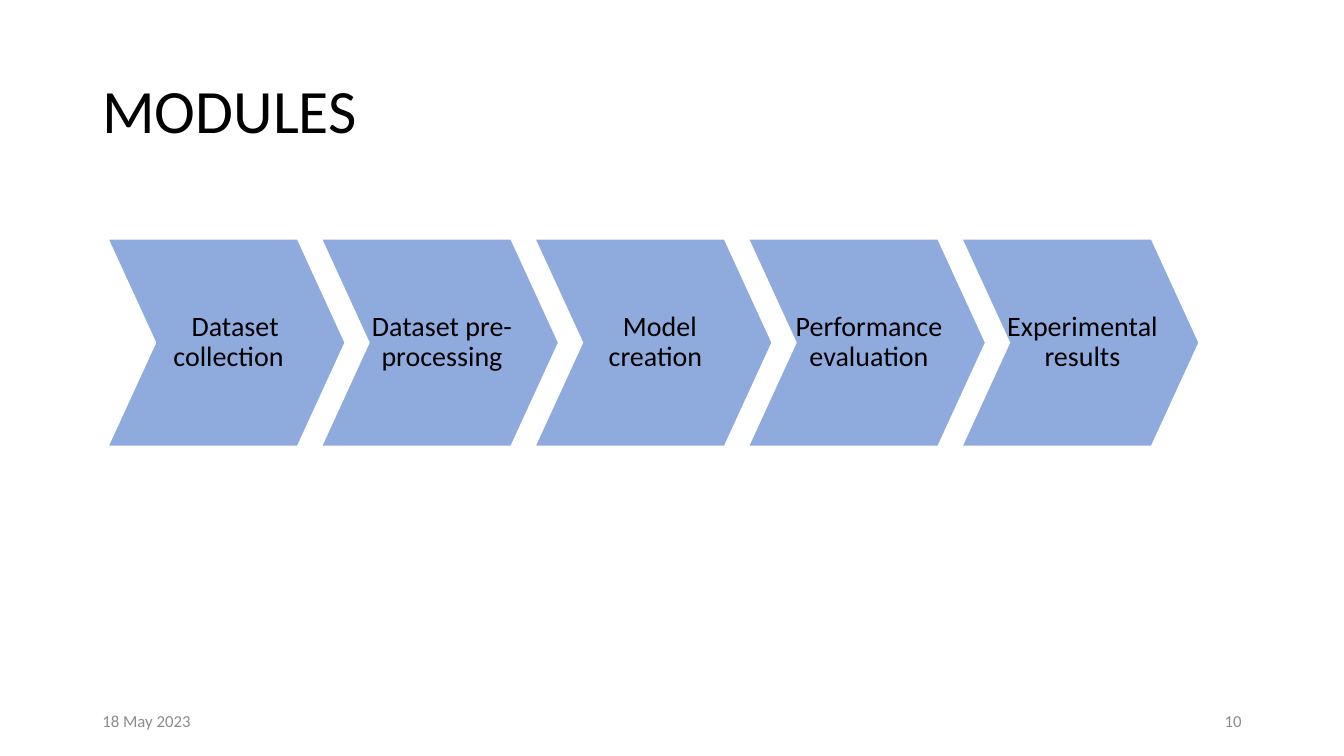
from dataclasses import dataclass

from pptx import Presentation
from pptx.dml.color import RGBColor as Color
from pptx.enum.text import MSO_ANCHOR as Anchor, PP_ALIGN as Align
from pptx.util import Cm, Pt


@dataclass(frozen=True)
class Theme:
    font: str = "Calibri"
    ink: str = "000000"
    muted: str = "8C8C8C"
    arrow: str = "8FAADC"
    edge: str = "FFFFFF"
    title_size: int = 44
    step_size: int = 20
    footer_size: int = 12
    tight: float = 0.9


class ModulesPage:
    """Draws the elements of one slide in a shared style."""

    def __init__(self, deck, theme):
        self.theme = theme
        self.page = deck.slides.add_slide(deck.slide_layouts[6])

    def set_text(self, frame, text, size, color, align=Align.LEFT, spacing=1.0):
        frame.word_wrap = True
        frame.vertical_anchor = Anchor.MIDDLE
        para = frame.paragraphs[0]
        para.alignment = align
        para.line_spacing = spacing
        span = para.add_run()
        span.text = text
        span.font.name = self.theme.font
        span.font.size = Pt(size)
        span.font.color.rgb = Color.from_string(color)
        return para

    def label(self, left, top, width, height, text, size, color, **style):
        box = self.page.shapes.add_textbox(Cm(left), Cm(top), Cm(width), Cm(height))
        self.set_text(box.text_frame, text, size, color, **style)

    def chevron(self, group, left, text, indent):
        top, width, height, notch = 6.02, 5.98, 5.23, 1.2
        right, bottom, middle = left + width, top + height, top + height / 2
        outline = [(right - notch, top), (right, middle), (right - notch, bottom),
                   (left, bottom), (left + notch, middle)]
        builder = group.shapes.build_freeform(Cm(left), Cm(top))
        builder.add_line_segments([(Cm(x), Cm(y)) for x, y in outline], close=True)
        shape = builder.convert_to_shape()
        shape.shadow.inherit = False
        shape.fill.solid()
        shape.fill.fore_color.rgb = Color.from_string(self.theme.arrow)
        shape.line.color.rgb = Color.from_string(self.theme.edge)
        shape.line.width = Pt(1)
        frame = shape.text_frame
        frame.margin_left, frame.margin_right = Cm(1.14), Cm(1.04)
        frame.margin_top = frame.margin_bottom = Cm(0.05)
        para = self.set_text(frame, text, self.theme.step_size, self.theme.ink,
                             align=Align.CENTER, spacing=self.theme.tight)
        if indent:
            para._p.get_or_add_pPr().set("indent", str(Cm(indent)))

    def process(self, steps, left, pitch):
        group = self.page.shapes.add_group_shape()
        for index, (text, indent) in enumerate(steps):
            self.chevron(group, left + index * pitch, text, indent)


def main():
    deck = Presentation()
    deck.slide_width, deck.slide_height = Cm(33.87), Cm(19.05)
    theme = Theme()
    page = ModulesPage(deck, theme)
    page.label(2.33, 1.01, 29.21, 3.68, "MODULES", theme.title_size, theme.ink,
               spacing=theme.tight)
    page.label(2.33, 17.65, 7.62, 1.02, "18 May 2023", theme.footer_size, theme.muted)
    page.label(23.92, 17.65, 7.62, 1.02, "10", theme.footer_size, theme.muted,
               align=Align.RIGHT)
    steps = [("Dataset collection", 0.33), ("Dataset pre-processing", 0),
             ("Model creation", 0.22), ("Performance evaluation", 0),
             ("Experimental results", 0)]
    page.process(steps, left=2.72, pitch=5.38)
    deck.save("out.pptx")


if __name__ == "__main__":
    main()
